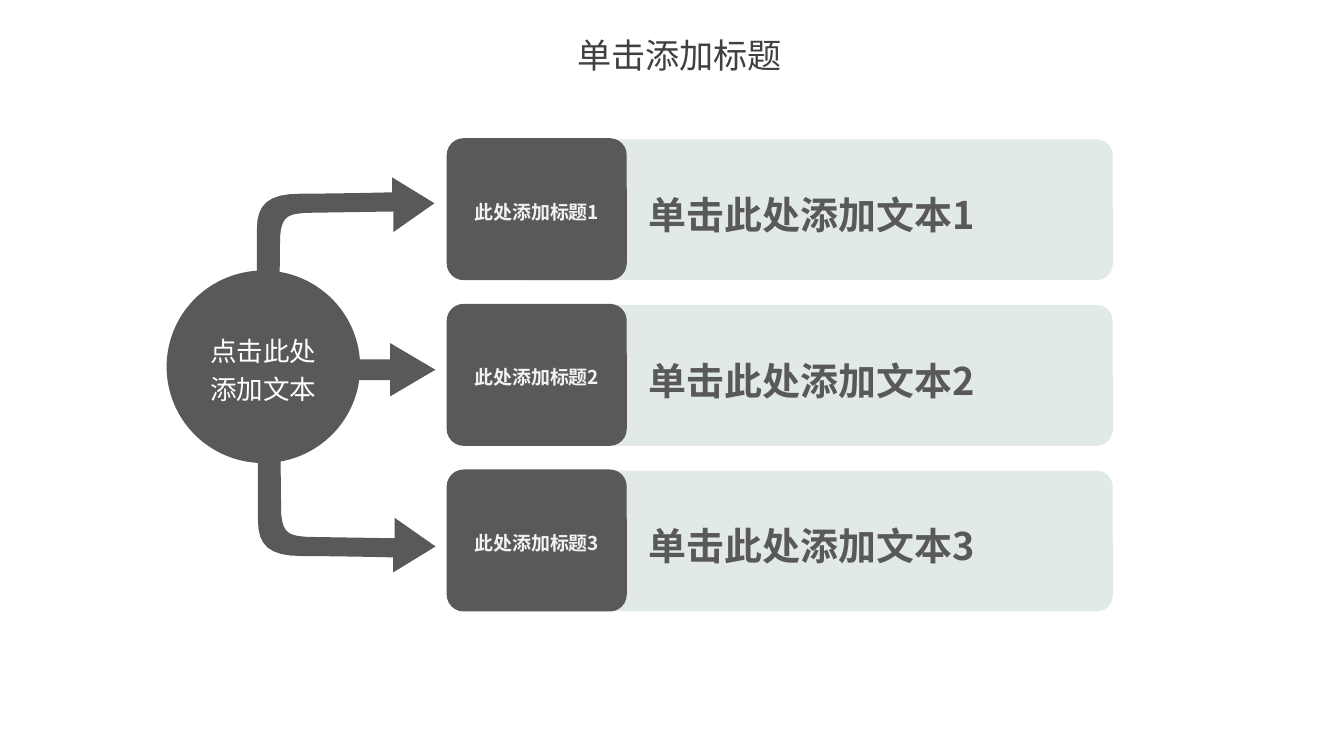
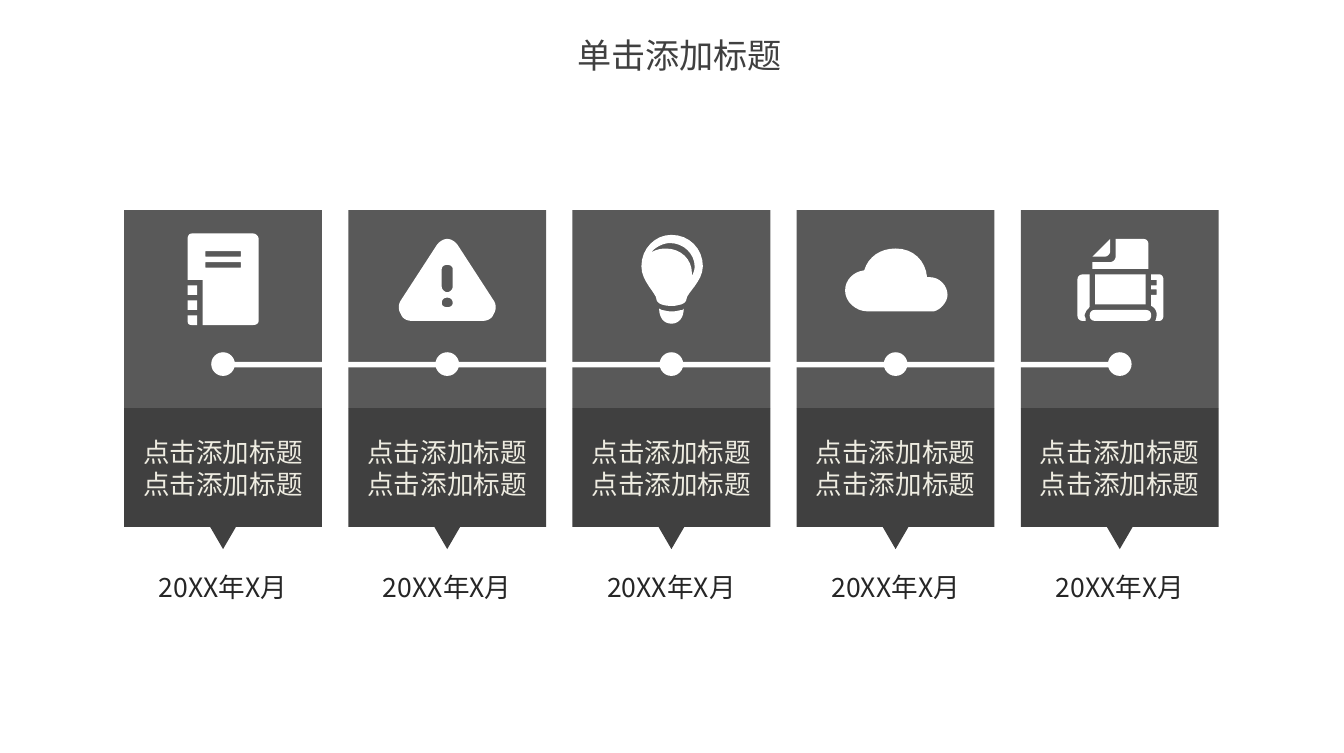
from lxml import etree
from pptx import Presentation
from pptx.dml.color import RGBColor
from pptx.enum.shapes import MSO_SHAPE
from pptx.enum.text import MSO_ANCHOR, PP_ALIGN
from pptx.oxml.ns import qn
from pptx.util import Cm, Pt

RECT = MSO_SHAPE.RECTANGLE
ROUND = MSO_SHAPE.ROUNDED_RECTANGLE
OVAL = MSO_SHAPE.OVAL
ARROW = MSO_SHAPE.RIGHT_ARROW
WEDGE = MSO_SHAPE.FLOWCHART_MERGE
CENTER = PP_ALIGN.CENTER
MIDDLE, TOP = MSO_ANCHOR.MIDDLE, MSO_ANCHOR.TOP

# Shared look
FONT = "Noto Sans CJK SC"
WHITE = RGBColor(0xFF, 0xFF, 0xFF)
GREY = RGBColor(0x59, 0x59, 0x59)
DARK = RGBColor(0x40, 0x40, 0x40)
BLACK = RGBColor(0x26, 0x26, 0x26)
MIST = RGBColor(0xE2, 0xE9, 0xE9)
PALE = RGBColor(0xF2, 0xF2, 0xF2)
CREAM = RGBColor(0xEE, 0xEC, 0xE1)
WIDE = (0.25, 0.13)
SLIM = (0.18, 0.1)

# Outlines: M move, L lines, C curve, Z close; one unit is UNIT cm
UNIT = 0.0254
FINE = 100
STEPS = 8
ELBOW = """M 16 12 L 17 102 C 18 118 25 118 36 119 L 100 120 100 105 130 126
 99 145 99 134 C 99 134 56 133 32 133 C 8 133 0 125 0 107 L 0 10
 C 2 -5 13 -4 16 12 Z"""

# Icons: x from the middle of a card, y from its top
BOOK = """M -19 84 L -23 84 C -25 84 -26 83 -26 81 L -26 77 -19 77 Z
 M -26 55 L -19 55 -19 62 -26 62 Z M -26 66 L -19 66 -19 73 -26 73 Z
 M -23 17 L 22 17 C 24 17 26 19 26 21 L 26 81 C 26 83 24 84 22 84
 L -15 84 -15 51 -26 51 -26 21 C -26 19 -25 17 -23 17 Z
 M -13 42 L 13 42 13 38 -13 38 Z M -13 34 L 13 34 13 30 -13 30 Z"""
ALERT = """M -8 26 C -6 23 -3 21 0 21 C 3 21 6 23 8 26 L 34 66
 C 36 69 36 73 34 76 C 33 79 30 81 26 81 L -26 81 C -30 81 -33 79 -34 76
 C -36 73 -36 69 -34 66 Z
 M 0 71 C 2 71 4 70 4 68 C 4 65 2 64 0 64 C -2 64 -4 65 -4 68
 C -4 70 -2 71 0 71 Z
 M -4 56 C -4 58 -2 60 0 60 C 2 60 4 58 4 56 L 4 43 C 4 41 2 40 0 40
 C -2 40 -4 41 -4 43 Z"""
BULB = """M -7 73 C -6 73 -3 74 -1 74 L 1 74 C 4 74 6 73 8 73 L 9 72
 C 9 78 6 83 0 83 C -6 83 -9 78 -9 72 Z
 M 0 18 C 13 18 23 28 23 41 C 23 52 11 61 11 65 C 11 66 10 68 7 69
 C 6 69 3 70 2 70 L 0 70 C -1 70 -4 70 -7 69 C -10 68 -11 66 -11 65
 C -11 61 -22 52 -22 41 C -22 28 -12 18 0 18 Z
 M -4 28 C 7 28 15 36 15 46 L 15 48 C 16 46 17 44 17 41
 C 17 32 9 24 -1 24 C -6 24 -12 27 -15 31 C -12 29 -8 28 -4 28 Z"""
CLOUD = """M -23 44 C -20 34 -11 28 0 28 C 13 28 22 37 23 49 L 25 49
 C 32 49 38 55 38 62 C 38 67 33 73 28 74 L -21 74 C -29 74 -37 67 -37 59
 C -37 51 -31 45 -23 44 Z"""
PRINT = """M -27 47 L -22 47 -22 70 C -22 72 -25 73 -25 75
 C -26 76 -26 78 -25 79 L -25 81 -27 81 C -30 81 -31 79 -31 77 L -31 51
 C -31 49 -30 47 -27 47 Z
 M -22 77 C -22 74 -20 73 -18 73 L 19 73 C 22 73 23 75 23 77
 C 23 79 22 81 19 81 L -18 81 C -21 81 -22 79 -22 77 Z
 M 23 69 L 23 62 27 62 27 58 23 58 23 55 27 55 27 51 23 51 23 47 29 47
 C 31 47 32 49 32 51 L 32 77 C 32 79 31 81 29 81 L 26 81
 C 27 79 27 77 27 76 C 27 73 25 71 23 70 Z
 M -11 34 L -20 34 -7 21 -7 30 C -7 32 -9 34 -11 34 Z
 M -20 38 L -7 38 C -5 38 -3 36 -3 34 L -3 21 17 21 C 20 21 21 23 21 25
 L 21 43 -20 43 Z
 M -18 47 L 19 47 19 69 -18 69 Z"""


def paint(shape, color):
    shape.shadow.inherit = False
    shape.fill.solid()
    shape.fill.fore_color.rgb = color
    shape.line.fill.background()


def add_box(slide, kind, x, y, w, h, color, adjust=()):
    box = slide.shapes.add_shape(kind, Cm(x), Cm(y), Cm(w), Cm(h))
    paint(box, color)
    for i, value in enumerate(adjust):
        box.adjustments[i] = value
    return box


def write(shape, lines, size, color, bold=False, pad=WIDE, space=None,
          anchor=MIDDLE, wrap=True):
    frame = shape.text_frame
    frame.word_wrap = wrap
    frame.vertical_anchor = anchor
    frame.margin_left = frame.margin_right = Cm(pad[0])
    frame.margin_top = frame.margin_bottom = Cm(pad[1])
    for i, line in enumerate(lines):
        para = frame.add_paragraph() if i else frame.paragraphs[0]
        para.alignment = CENTER
        para.line_spacing = space
        run = para.add_run()
        run.text = line
        font = run.font
        font.name, font.size, font.bold = FONT, Pt(size), bold
        font.color.rgb = color
        etree.SubElement(font._element, qn("a:ea"), typeface=FONT)


def add_text(slide, x, y, w, h, line, size, color, **style):
    box = slide.shapes.add_textbox(Cm(x), Cm(y), Cm(w), Cm(h))
    write(box, [line], size, color, **style)


def curve(a, b, c, d):
    """Points along a cubic curve, without its start."""
    for i in range(1, STEPS + 1):
        t = i / STEPS
        s = 1 - t
        yield tuple(s**3 * p + 3 * s * s * t * q + 3 * s * t * t * r + t**3 * e
                    for p, q, r, e in zip(a, b, c, d))


def trace(outline):
    """Turn an outline into a list of closed point lists."""
    loops = []
    for part in outline.split("Z"):
        loop = []
        for step in part.replace("L", ";L").replace("C", ";C").split(";"):
            mark, *nums = step.split() or [""]
            vals = [float(n) for n in nums]
            pts = list(zip(vals[::2], vals[1::2]))
            loop += curve(loop[-1], *pts) if mark == "C" else pts
        if loop:
            loops.append(loop)
    return loops


def draw(slide, outline, x, y, color, flip=1):
    pen = None
    for loop in trace(outline):
        pts = [(px * FINE, py * FINE * flip) for px, py in loop]
        if pen is None:
            pen = slide.shapes.build_freeform(*pts[0], scale=Cm(UNIT) / FINE)
        else:
            pen.move_to(*pts[0])
        pen.add_line_segments(pts[1:], close=True)
    paint(pen.convert_to_shape(Cm(x), Cm(y)), color)


def new_slide(deck):
    slide = deck.slides.add_slide(deck.slide_layouts[6])
    slide.background.fill.solid()
    slide.background.fill.fore_color.rgb = WHITE
    return slide


def add_title(slide):
    add_text(slide, 10.72, 0.64, 3.84, 0.76, "单击添加标题", 18, DARK,
             pad=(0, 0), wrap=False)


def build_hub(deck):
    slide = new_slide(deck)
    # Arrows from the hub
    draw(slide, ELBOW, 4.8, 6.96, GREY)
    add_box(slide, ARROW, 4.19, 6.38, 3.91, 0.99, GREY, (0.39, 0.85))
    draw(slide, ELBOW, 4.78, 6.98, GREY, flip=-1)
    # Rows: pale panel under a dark label
    for i in range(3):
        y = 2.57 + 3.08 * i
        panel = add_box(slide, ROUND, 9.5, y + 0.02, 11.2, 2.62, MIST, [0.115])
        write(panel, [f"单击此处添加文本{i + 1}"], 20, GREY, True, space=1.2)
        label = add_box(slide, ROUND, 8.31, y, 3.35, 2.64, GREY, [0.119])
        write(label, [f"此处添加标题{i + 1}"], 10, PALE, True, space=1.2)
    # Hub
    hub = add_box(slide, OVAL, 3.1, 5.03, 3.6, 3.58, GREY)
    write(hub, ["点击此处添加文本"], 14, WHITE, space=1.2)
    add_title(slide)


def build_time(deck):
    slide = new_slide(deck)
    left, top, side, pitch = 2.31, 3.91, 3.68, 4.17
    icons = [BOOK, ALERT, BULB, CLOUD, PRINT]
    # Cards
    for i, icon in enumerate(icons):
        x = left + pitch * i
        mid = x + side / 2
        add_box(slide, RECT, x, top, side, side, GREY)
        base = add_box(slide, RECT, x, top + side, side, 2.21, DARK)
        write(base, ["点击添加标题"] * 2, 14, CREAM, pad=SLIM)
        draw(slide, icon, mid, top, WHITE)
        add_box(slide, OVAL, mid - 0.22, 6.55, 0.44, 0.44, WHITE)
        add_box(slide, WEDGE, mid - 0.25, 9.78, 0.5, 0.43, DARK)
        add_text(slide, mid - 1.45, 10.52, 2.9, 0.79, "20XX年X月", 14, BLACK,
                 pad=SLIM, anchor=TOP)
    # Track through the dots
    span = pitch * (len(icons) - 1)
    add_box(slide, RECT, left + side / 2, 6.73, span, 0.1, WHITE)
    add_title(slide)


def main():
    deck = Presentation()
    deck.slide_width, deck.slide_height = Cm(25), Cm(14)
    build_hub(deck)
    build_time(deck)
    deck.save("out.pptx")


if __name__ == "__main__":
    main()
